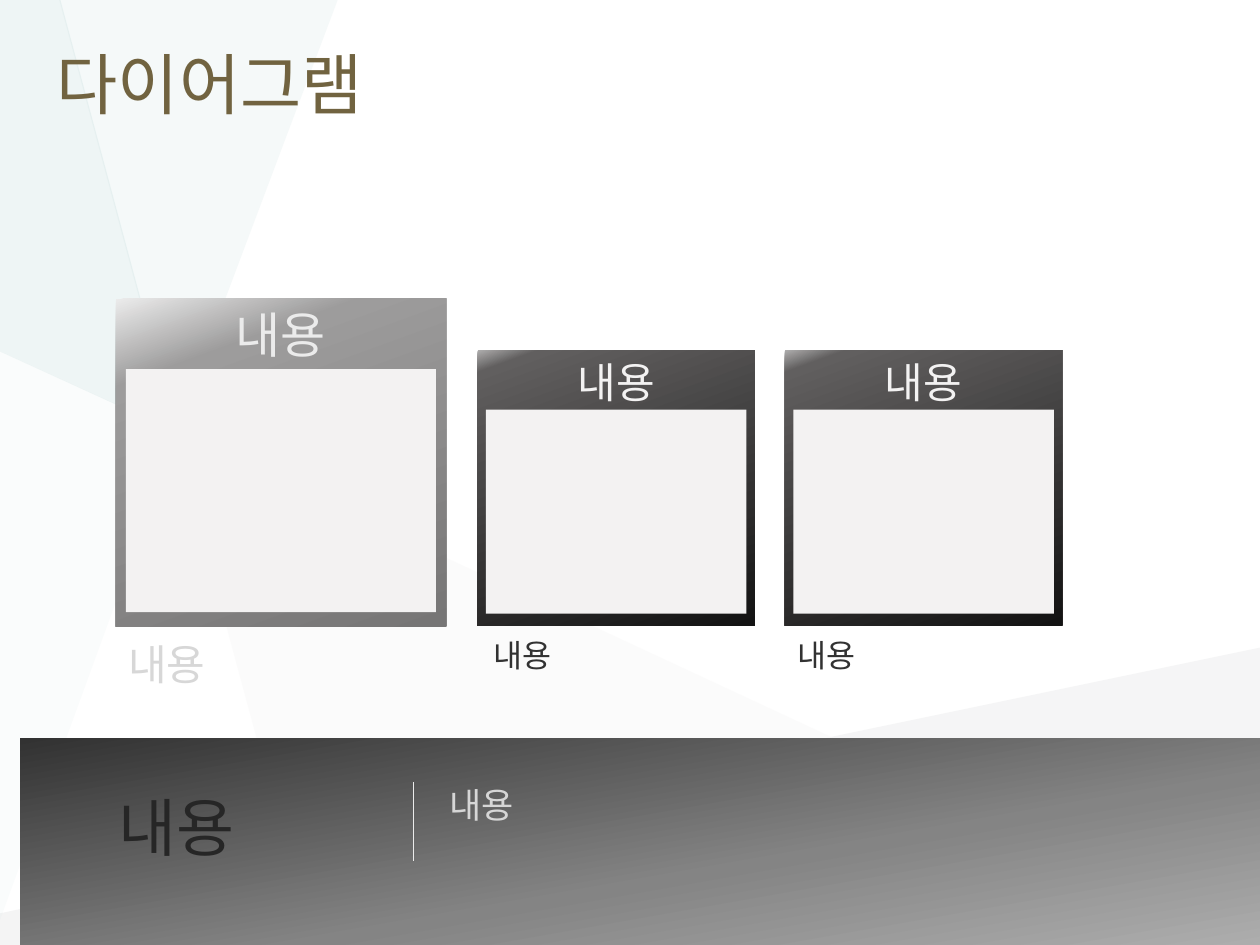
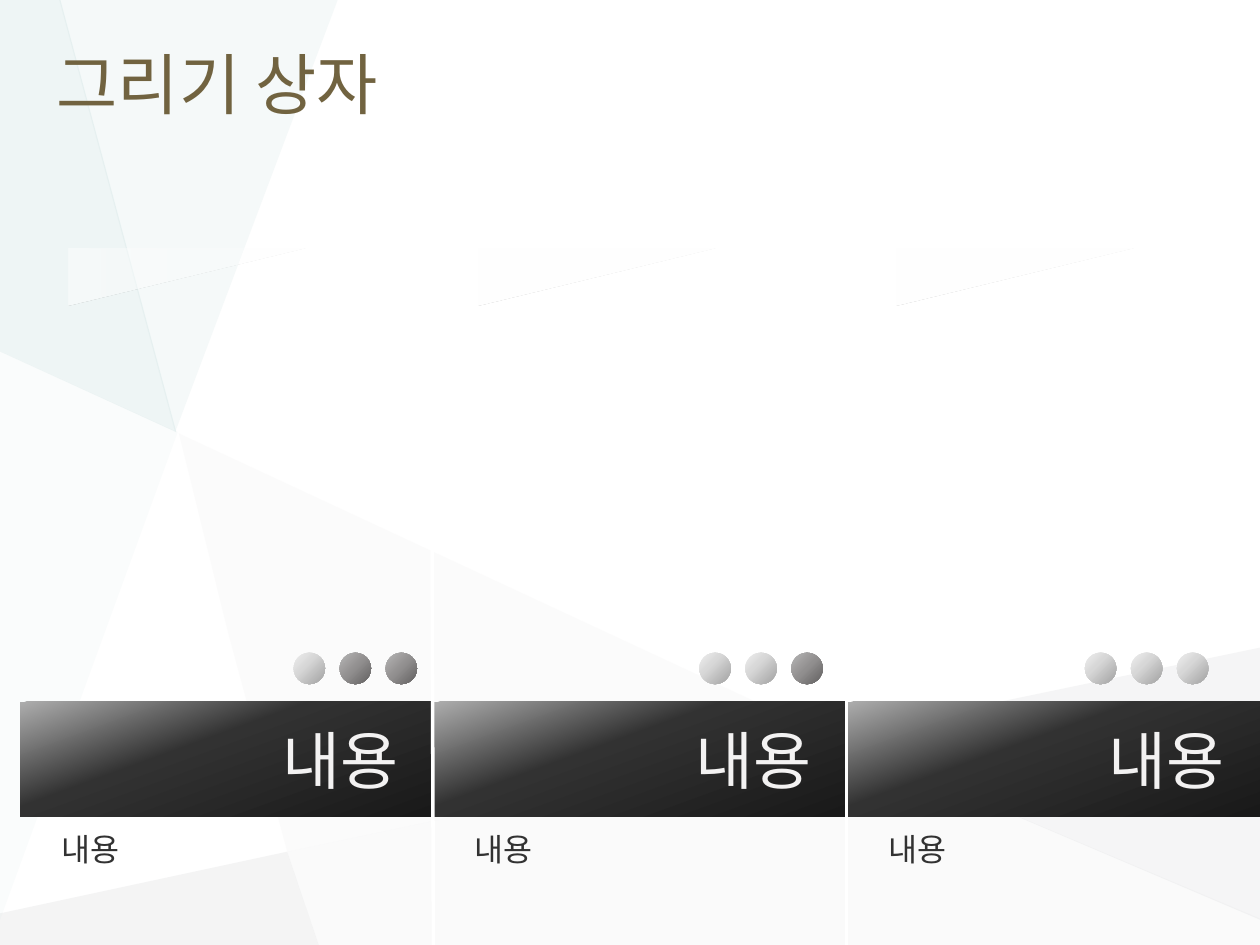
from lxml.etree import SubElement
from pptx import Presentation
from pptx.dml.color import RGBColor
from pptx.enum.shapes import MSO_CONNECTOR, MSO_SHAPE
from pptx.enum.text import MSO_ANCHOR, MSO_AUTO_SIZE, PP_ALIGN
from pptx.oxml.ns import qn
from pptx.util import Inches, Pt

FONT = "Arial"
CONTENT = "내용"
WHITE = RGBColor(0xFF, 0xFF, 0xFF)
TITLE_BROWN = RGBColor(0x71, 0x63, 0x40)
PALE = RGBColor(0xF3, 0xF2, 0xF2)
LIGHT = RGBColor(0xEB, 0xEB, 0xEB)
CHARCOAL = RGBColor(0x32, 0x32, 0x32)
NEAR_BLACK = RGBColor(0x26, 0x26, 0x26)
SILVER = RGBColor(0xD7, 0xD7, 0xD7)
BANNER_TEXT = RGBColor(0xD6, 0xD6, 0xD6)
STEEL = RGBColor(0xB6, 0xB8, 0xBA)
CLOUD = RGBColor(0xC6, 0xC8, 0xCA)
MINT = RGBColor(0xC1, 0xDB, 0xDB)
PALE_MINT = RGBColor(0xE0, 0xED, 0xED)
ASH = RGBColor(0xAD, 0xAD, 0xAD)

MAIN_CARD = [(0, LIGHT), (20, RGBColor(0x9D, 0x9C, 0x9C)), (100, RGBColor(0x76, 0x75, 0x75))]
SIDE_CARD = [(0, RGBColor(0xAE, 0xAD, 0xAD)), (6, RGBColor(0x61, 0x5F, 0x5F)),
             (100, RGBColor(0x13, 0x13, 0x13))]
BANNER = [(0, ASH), (40, RGBColor(0x84, 0x84, 0x84)), (100, CHARCOAL)]
BAND = [(0, ASH), (40, CHARCOAL), (100, RGBColor(0x19, 0x19, 0x19))]
LIGHT_DOT = [(0, RGBColor(0xEF, 0xEF, 0xEF)), (40, SILVER), (100, RGBColor(0xA1, 0xA1, 0xA1))]
DARK_DOT = [(0, RGBColor(0xB7, 0xB6, 0xB6)), (50, RGBColor(0x91, 0x8F, 0x8F)),
            (100, RGBColor(0x61, 0x5F, 0x5F))]
GLINT = [(0, WHITE, 15), (50, WHITE, 30), (100, WHITE, 50)]

FACETS = [
    (PALE, 26, [(1.42, 3.44), (1.81, 5.02), (2.28, 6.76), (6.6, 5.85)]),
    (STEEL, 15, [(2.28, 6.76), (0, 7.25), (0, 7.5), (2.53, 7.5)]),
    (PALE_MINT, 31, [(2.68, 0), (0.47, 0), (1.39, 3.43)]),
    (CLOUD, 17, [(10, 5.14), (6.59, 5.85), (10, 7.3)]),
    (STEEL, 6, [(6.59, 5.85), (2.28, 6.76), (2.53, 7.5), (10, 7.5), (10, 7.29)]),
    (MINT, 27, [(0.48, 0), (0, 0), (0, 2.79), (1.4, 3.43)]),
    (MINT, 8, [(0, 2.79), (0, 7.3), (1.41, 3.43)]),
]


def set_opacity(color_element, percent):
    """Make a colour element partly transparent."""
    SubElement(color_element, qn("a:alpha"), val=str(percent * 1000))


def fill_gradient(shape, stops, angle):
    """Fill a shape with a linear gradient running clockwise from the right."""
    shape.fill.gradient()
    shape.fill.gradient_angle = 360 - angle
    stop_list = shape._element.spPr.find(qn("a:gradFill")).find(qn("a:gsLst"))
    for old_stop in list(stop_list):
        stop_list.remove(old_stop)
    for position, color, *opacity in stops:
        stop = SubElement(stop_list, qn("a:gs"), pos=str(position * 1000))
        color_element = SubElement(stop, qn("a:srgbClr"), val=str(color))
        if opacity:
            set_opacity(color_element, opacity[0])


def add_block(slide, kind, box, fill, angle=70):
    """Add a borderless preset shape with a plain or gradient fill."""
    shape = slide.shapes.add_shape(kind, *map(Inches, box))
    shape.shadow.inherit = False
    shape.line.fill.background()
    if isinstance(fill, RGBColor):
        shape.fill.solid()
        shape.fill.fore_color.rgb = fill
    else:
        fill_gradient(shape, fill, angle)
    return shape


def write(shape, text, size, color, align=PP_ALIGN.LEFT, anchor=MSO_ANCHOR.TOP):
    """Put one formatted paragraph into a shape."""
    frame = shape.text_frame
    frame.word_wrap = True
    frame.vertical_anchor = anchor
    frame.text = text
    paragraph = frame.paragraphs[0]
    paragraph.alignment = align
    paragraph.font.name = FONT
    paragraph.font.size = Pt(size)
    paragraph.font.color.rgb = color
    return paragraph


def add_label(slide, box, size, color):
    """Add a text box that grows with its text."""
    label = slide.shapes.add_textbox(*map(Inches, box))
    write(label, CONTENT, size, color)
    label.text_frame.auto_size = MSO_AUTO_SIZE.SHAPE_TO_FIT_TEXT
    return label


def add_line(slide, start, end, color, width):
    """Add a straight line without a shadow."""
    line = slide.shapes.add_connector(MSO_CONNECTOR.STRAIGHT, *map(Inches, start + end))
    line.line.color.rgb = color
    line.line.width = Pt(width)
    SubElement(line._element.spPr, qn("a:effectLst"))


def add_facets(slide):
    """Draw the translucent background facets on the layout of the slide."""
    layout_tree = slide.slide_layout.shapes._spTree
    for index, (color, opacity, points) in enumerate(FACETS):
        start, *others = [(Inches(x), Inches(y)) for x, y in points]
        builder = slide.shapes.build_freeform(*start)
        builder.add_line_segments(others, close=True)
        facet = builder.convert_to_shape()
        facet.shadow.inherit = False
        facet.line.fill.background()
        facet.fill.solid()
        facet.fill.fore_color.rgb = color
        set_opacity(facet._element.spPr.find(qn("a:solidFill"))[0], opacity)
        layout_tree.insert(2 + index, facet._element)


def add_titled_slide(presentation, title):
    """Add a slide with the shared title style."""
    slide = presentation.slides.add_slide(presentation.slide_layouts[5])
    shape = slide.shapes.title
    shape.left, shape.top, shape.width, shape.height = map(Inches, (0.35, 0.14, 9.27, 1.03))
    write(shape, title, 38, TITLE_BROWN, anchor=MSO_ANCHOR.MIDDLE)
    return slide


def add_card(slide, left, top, scale, gradient, size, color):
    """Add a headed card with its inner panel, sized by scale."""
    card = add_block(slide, MSO_SHAPE.RECTANGLE, (left, top, 2.62 * scale, 2.6 * scale), gradient)
    write(card, CONTENT, size, color, PP_ALIGN.CENTER)
    panel = (left + 0.08 * scale, top + 0.56 * scale, 2.46 * scale, 1.93 * scale)
    add_block(slide, MSO_SHAPE.RECTANGLE, panel, PALE)


def add_banner(slide, left, top):
    """Add the bottom banner with heading, divider and note."""
    add_block(slide, MSO_SHAPE.RECTANGLE, (left, top, 9.84, 1.64), BANNER, 260)
    heading = add_label(slide, (left + 0.78, top + 0.4, 2.16, 0.6), 36, NEAR_BLACK)
    frame = heading.text_frame
    frame.vertical_anchor = MSO_ANCHOR.MIDDLE
    frame.margin_left = frame.margin_right = frame.margin_top = frame.margin_bottom = 0
    note = add_label(slide, (left + 3.31, top + 0.31, 5.83, 0.77), 20, BANNER_TEXT)
    properties = note.text_frame.paragraphs[0]._p.get_or_add_pPr()
    properties.set("marL", str(Inches(0.19)))
    properties.set("indent", str(Inches(-0.19)))
    divider = left + 3.12
    add_line(slide, (divider, top + 0.35), (divider, top + 0.97), LIGHT, 0.75)


def build_diagram_slide(presentation):
    """Build the slide with three cards above a banner."""
    slide = add_titled_slide(presentation, "다이어그램")
    add_facets(slide)
    for left, label_left in ((3.79, 3.82), (6.23, 6.23)):
        add_card(slide, left, 2.78, 0.84, SIDE_CARD, 24, PALE)
        add_label(slide, (label_left, 5, 2.19, 0.4), 18, CHARCOAL)
    add_card(slide, 0.92, 2.37, 1, MAIN_CARD, 28, LIGHT)
    add_banner(slide, 0.16, 5.86)
    add_label(slide, (0.92, 5.02, 2.6, 0.5), 24, SILVER)


def add_column(slide, left, dots_left, dark_dots, glint_left):
    """Add one drawing-box column: band, label, three dots and a glint."""
    band = add_block(slide, MSO_SHAPE.RECTANGLE, (left, 5.57, 3.28, 0.91), BAND)
    write(band, CONTENT, 36, PALE, PP_ALIGN.RIGHT, MSO_ANCHOR.MIDDLE)
    band.text_frame.margin_right = Inches(0.28)
    add_label(slide, (left + 0.23, 6.54, 2.81, 0.71), 18, CHARCOAL)
    for index in range(3):
        gradient = DARK_DOT if index >= 3 - dark_dots else LIGHT_DOT
        dot_box = (dots_left + 0.365 * index, 5.18, 0.25, 0.25)
        add_block(slide, MSO_SHAPE.OVAL, dot_box, gradient, 45)
    glint = add_block(slide, MSO_SHAPE.RIGHT_TRIANGLE, (glint_left, 1.26, 0.45, 1.88), GLINT, 90)
    glint.rotation = 90


def build_box_slide(presentation):
    """Build the slide with three drawing-box columns."""
    slide = add_titled_slide(presentation, "그리기 상자")
    columns = [(2.33, 2, 1.26), (5.55, 1, 4.51), (8.61, 0, 7.83)]
    for index, (dots_left, dark_dots, glint_left) in enumerate(columns):
        add_column(slide, 0.16 + 3.28 * index, dots_left, dark_dots, glint_left)
    for bottom_x, top_x in ((3.44, 3.42), (6.72, 6.72)):
        add_line(slide, (bottom_x, 7.5), (top_x, 1.59), WHITE, 2)


def main():
    """Build and save the presentation."""
    presentation = Presentation()
    presentation.slide_width = Inches(10)
    presentation.slide_height = Inches(7.5)
    build_diagram_slide(presentation)
    build_box_slide(presentation)
    presentation.save("out.pptx")


if __name__ == "__main__":
    main()
